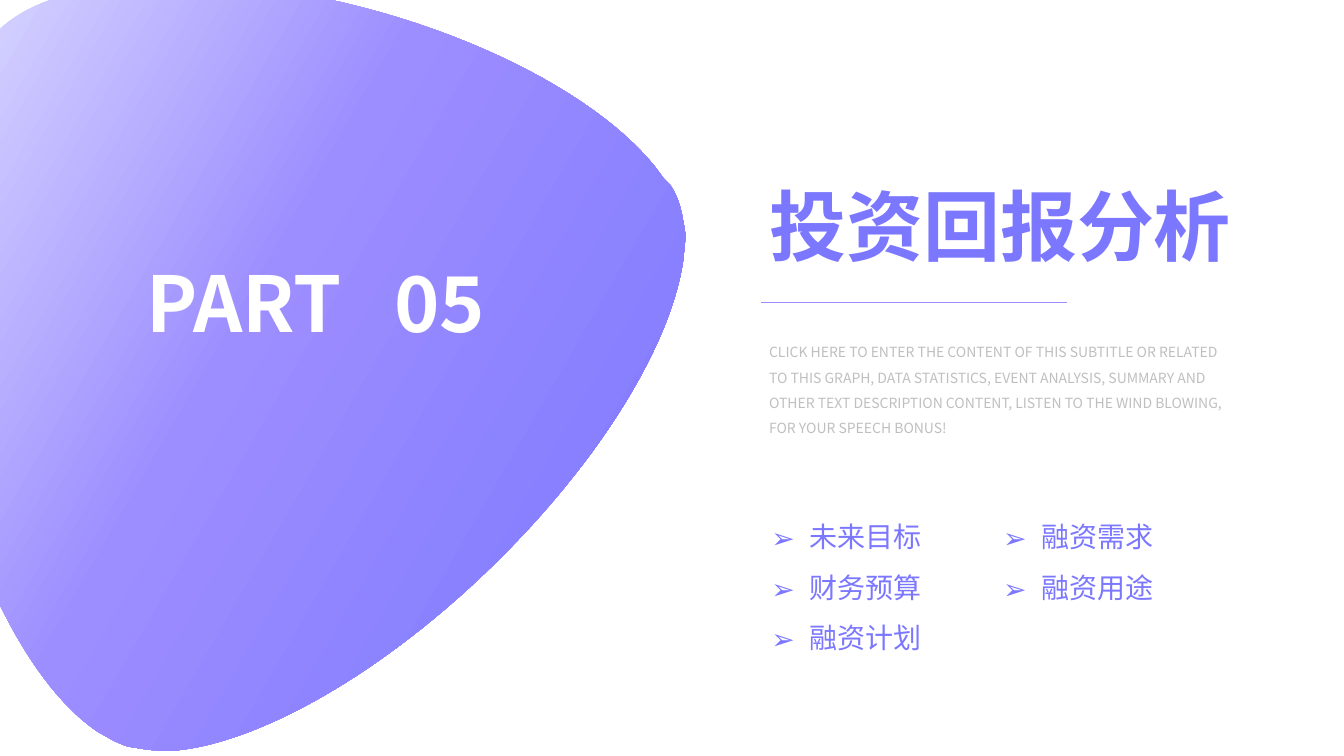
from itertools import chain

from lxml.etree import SubElement
from pptx import Presentation
from pptx.dml.color import RGBColor
from pptx.enum.shapes import MSO_CONNECTOR
from pptx.enum.text import MSO_ANCHOR, MSO_AUTO_SIZE, PP_ALIGN
from pptx.oxml import parse_xml
from pptx.oxml.ns import nsdecls, qn
from pptx.util import Inches, Pt

FONT = "Noto Sans CJK SC"
VIOLET, LILAC, GREY, WHITE = "7B77FF", "9D8EFF", "BFBFBF", "FFFFFF"
GRADIENT = [(2, "DEDEFF"), (44, LILAC), (97, VIOLET)]
GRADIENT_ANGLE = 30
TEXT_LEFT, TEXT_WIDTH = 7.53, 4.83
LIST_TOP, LIST_LEFT, LIST_STEP = 4.94, 7.55, 2.3

# Hundredths of an inch; each entry is an end point, or two control points and an end point.
BLOB_START = (-2, 31)
BLOB_OUTLINE = [
    [(54, -26), (212, -35), (380, 13)],
    [(512, 51), (616, 115), (658, 177)],
    [(665, 184)],
    [(671, 193), (675, 204), (677, 216)],
    [(679, 227)],
    [(680, 233), (680, 238), (679, 243)],
    [(678, 255)],
    [(668, 335), (602, 448), (497, 553)],
    [(382, 668), (253, 740), (168, 745)],
    [(148, 744)],
    [(129, 741)],
    [(123, 740), (118, 737), (113, 735)],
    [(97, 726)],
    [(29, 680), (-35, 556), (-61, 404)],
    [(-89, 239), (-64, 91), (-5, 33)],
]


def color(hex_string):
    return RGBColor.from_string(hex_string)


def format_paragraph(paragraph, size, hex_color, bold=False, spacing=1.0,
                     align=PP_ALIGN.LEFT):
    paragraph.alignment = align
    paragraph.line_spacing = spacing
    paragraph.space_before = Pt(0)
    font = paragraph.font
    font.size, font.bold, font.name = Pt(size), bold, FONT
    font.color.rgb = color(hex_color)
    defaults = paragraph._p.pPr.find(qn("a:defRPr"))
    SubElement(defaults, qn("a:ea"), typeface=FONT)


def add_arrow_bullet(paragraph):
    properties = paragraph._p.pPr
    properties.set("marL", str(Inches(0.38)))
    properties.set("indent", str(-Inches(0.38)))
    defaults = properties.find(qn("a:defRPr"))
    defaults.addprevious(parse_xml(f'<a:buFont {nsdecls("a")} typeface="{FONT}"/>'))
    defaults.addprevious(parse_xml(f'<a:buChar {nsdecls("a")} char="➢"/>'))


def place(shape, left, top, width, height, wrap=True):
    shape.left, shape.top = Inches(left), Inches(top)
    shape.width, shape.height = Inches(width), Inches(height)
    frame = shape.text_frame
    frame.word_wrap = wrap
    frame.auto_size = MSO_AUTO_SIZE.SHAPE_TO_FIT_TEXT
    frame.vertical_anchor = MSO_ANCHOR.TOP
    return frame


def round_corners(freeform, segments):
    """Turn each run of three lines that stands for a curve into a cubic curve."""
    lines = iter(list(freeform._element.iter(qn("a:lnTo"))))
    for segment in segments:
        parts = [next(lines) for _ in segment]
        if len(parts) == 3:
            curve = parse_xml(f'<a:cubicBezTo {nsdecls("a")}/>')
            parts[0].addprevious(curve)
            for part in parts:
                curve.append(part[0])
                part.getparent().remove(part)


def add_blob(slide):
    builder = slide.shapes.build_freeform(*BLOB_START, scale=Inches(0.01))
    builder.add_line_segments(chain.from_iterable(BLOB_OUTLINE), close=True)
    blob = builder.convert_to_shape()
    round_corners(blob, BLOB_OUTLINE)
    blob.shadow.inherit = False
    blob.line.fill.background()
    blob.fill.gradient()
    blob.fill.gradient_angle = 360 - GRADIENT_ANGLE
    stops = blob._element.spPr.find(qn("a:gradFill")).find(qn("a:gsLst"))
    for stop in list(stops):
        stops.remove(stop)
    for percent, hex_color in GRADIENT:
        stop = SubElement(stops, qn("a:gs"), pos=str(percent * 1000))
        SubElement(stop, qn("a:srgbClr"), val=hex_color)


def add_part_label(slide, left, top, width, height):
    label = slide.shapes.add_textbox(0, 0, 0, 0)
    paragraph = place(label, left, top, width, height, wrap=False).paragraphs[0]
    for text in ("PART", " ", "05"):
        paragraph.add_run().text = text
    paragraph.runs[1].font._element.set("spc", "2500")
    format_paragraph(paragraph, 55, WHITE, bold=True, align=PP_ALIGN.CENTER)


def add_heading(slide, left, top, width):
    """Place the title, the rule below it and the description."""
    frame = place(slide.shapes.title, left, top, width, 1.03, wrap=False)
    frame.text = "投资回报分析"
    format_paragraph(frame.paragraphs[0], 55, VIOLET, bold=True)

    rule_left, rule_top = Inches(left + 0.02), Inches(top + 1.28)
    rule = slide.shapes.add_connector(
        MSO_CONNECTOR.STRAIGHT, rule_left, rule_top, rule_left + Inches(3.03), rule_top)
    rule.line.color.rgb = color(LILAC)
    rule.line.width = Pt(0.5)
    SubElement(rule._element.spPr, qn("a:effectLst"))

    description = slide.shapes.add_textbox(0, 0, 0, 0)
    frame = place(description, left, top + 1.56, width, 1.08)
    frame.text = (
        "CLICK HERE TO ENTER THE CONTENT OF THIS SUBTITLE OR RELATED TO THIS GRAPH, "
        "DATA STATISTICS, EVENT ANALYSIS, SUMMARY AND OTHER TEXT DESCRIPTION CONTENT, "
        "LISTEN TO THE WIND BLOWING, FOR YOUR SPEECH BONUS!")
    format_paragraph(frame.paragraphs[0], 10, GREY, spacing=1.5)


def fill_topic_list(placeholder, topics, left, top, width):
    frame = place(placeholder, left, top, width, 0.05 + 0.5 * len(topics))
    frame.text = "\n".join(topics)
    for paragraph in frame.paragraphs:
        format_paragraph(paragraph, 20, VIOLET, spacing=1.5)
        add_arrow_bullet(paragraph)


def build_section_slide(presentation):
    slide = presentation.slides.add_slide(presentation.slide_layouts.get_by_name("Two Content"))
    add_blob(slide)
    add_part_label(slide, 1.19, 2.49, 3.88, 1.03)
    add_heading(slide, TEXT_LEFT, 1.72, TEXT_WIDTH)
    topic_columns = [("未来目标", "财务预算", "融资计划"), ("融资需求", "融资用途")]
    for column, topics in enumerate(topic_columns):
        fill_topic_list(slide.placeholders[column + 1], topics,
                        LIST_LEFT + column * LIST_STEP, LIST_TOP, 2.25)


def main():
    presentation = Presentation()
    presentation.slide_width, presentation.slide_height = Inches(13.33), Inches(7.5)
    build_section_slide(presentation)
    presentation.save("out.pptx")


if __name__ == "__main__":
    main()
